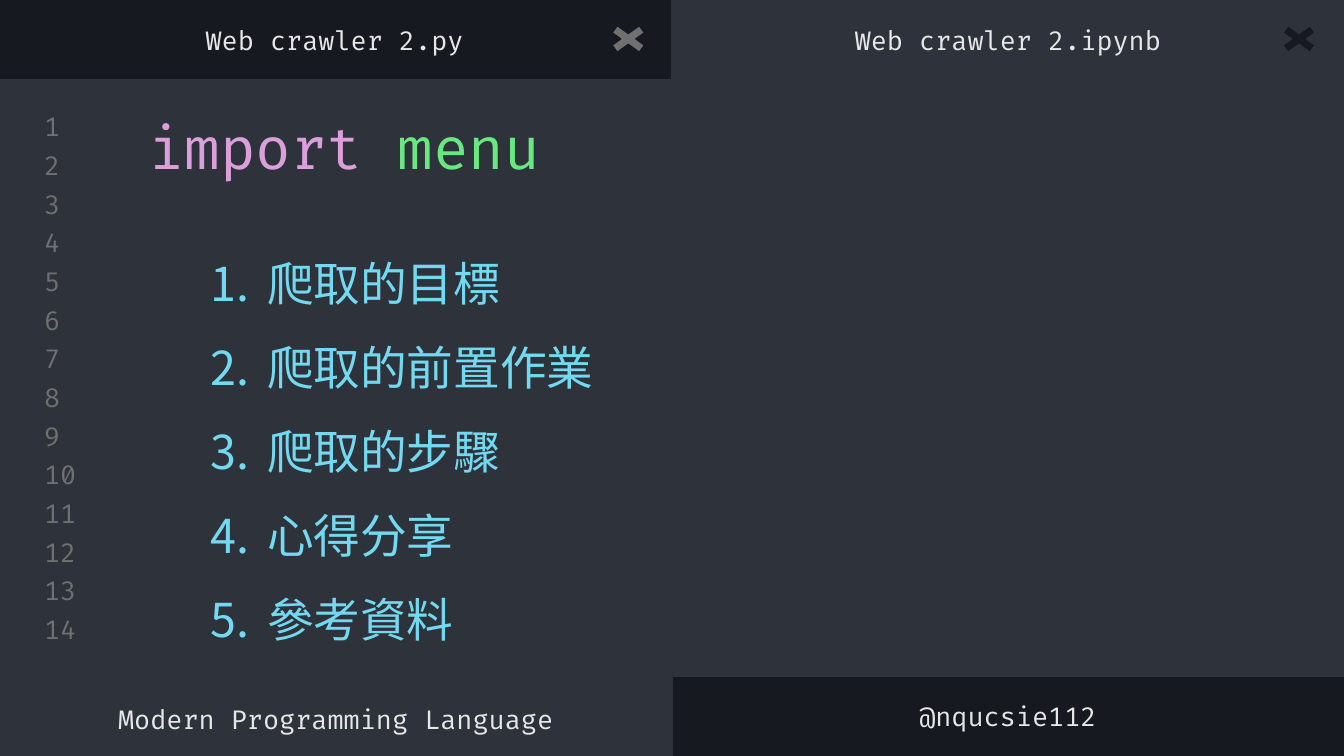
from lxml.etree import SubElement
from pptx import Presentation
from pptx.dml.color import RGBColor
from pptx.enum.shapes import MSO_SHAPE
from pptx.enum.text import MSO_ANCHOR, PP_ALIGN
from pptx.oxml.ns import qn
from pptx.util import Inches, Pt

DARK = RGBColor(0x16, 0x19, 0x1F)
SLATE = RGBColor(0x2E, 0x32, 0x3B)
GREY = RGBColor(0x70, 0x70, 0x70)
WHITE = RGBColor(0xE7, 0xE7, 0xE7)
PINK = RGBColor(0xDB, 0xA0, 0xDB)
GREEN = RGBColor(0x69, 0xE7, 0x81)
CYAN = RGBColor(0x72, 0xD9, 0xF0)
FONT = "Fira Code"

PANELS = [(0, 0.59, 10, 4.44), (5, 0, 5, 0.65), (0, 4.98, 5, 0.65)]
TABS = [
    ("Web crawler 2.py", -0.01, 0.1),
    ("Web crawler 2.ipynb", 5, 0.1),
    ("@nqucsie112", 5, 5.13),
]
TOPICS = ["爬取的目標", "爬取的前置作業", "爬取的步驟", "心得分享", "參考資料"]
LINES = 14
FIRST, LAST = 0.82, 4.56


def add_box(slide, kind, area, fill, line):
    shape = slide.shapes.add_shape(kind, *map(Inches, area))
    shape.shadow.inherit = False
    shape.fill.solid()
    shape.fill.fore_color.rgb = fill
    shape.line.color.rgb = line
    shape.line.width = Pt(0.75)


def add_frame(slide, area, anchor=MSO_ANCHOR.TOP):
    frame = slide.shapes.add_textbox(*map(Inches, area)).text_frame
    frame.word_wrap = True
    frame.vertical_anchor = anchor
    frame.margin_left = frame.margin_right = Inches(0.1)
    frame.margin_top = frame.margin_bottom = Inches(0.1)
    return frame


def set_font(font, size, color=None):
    font.name = FONT
    font.size = Pt(size)
    if color is not None:
        font.color.rgb = color


def add_label(slide, text, area, color=WHITE, align=PP_ALIGN.LEFT,
              anchor=MSO_ANCHOR.MIDDLE):
    para = add_frame(slide, area, anchor).paragraphs[0]
    para.text = text
    para.alignment = align
    set_font(para.font, 14, color)


def add_title(slide, area, words):
    para = add_frame(slide, area).paragraphs[0]
    set_font(para.font, 31)
    for text, color in words:
        run = para.add_run()
        run.text = text
        run.font.color.rgb = color


def number(para, color):
    """Give the paragraph a hanging automatic number."""
    props = para._p.get_or_add_pPr()
    props.set("marL", str(Inches(0.81)))
    props.set("indent", str(Inches(-0.42)))
    tint = SubElement(props, qn("a:buClr"))
    SubElement(tint, qn("a:srgbClr"), val=str(color))
    SubElement(props, qn("a:buAutoNum"), type="arabicPeriod")


def add_list(slide, area, items):
    frame = add_frame(slide, area)
    for index, item in enumerate(items):
        para = frame.add_paragraph() if index else frame.paragraphs[0]
        para.text = item
        para.line_spacing = 1.5
        number(para, CYAN)
        set_font(para.font, 25, CYAN)


def main():
    deck = Presentation()
    deck.slide_width = Inches(10)
    deck.slide_height = Inches(10) * 9 // 16
    slide = deck.slides.add_slide(deck.slide_layouts[6])
    slide.background.fill.solid()
    slide.background.fill.fore_color.rgb = DARK

    for area in PANELS:
        add_box(slide, MSO_SHAPE.RECTANGLE, area, SLATE, SLATE)

    pitch = (LAST - FIRST) / (LINES - 1)
    for index in range(LINES):
        area = (0.23, FIRST + index * pitch, 0.47, 0.24)
        add_label(slide, str(index + 1), area, GREY)

    add_title(slide, (1.01, 0.73, 3.18, 0.63),
              [("import ", PINK), ("menu", GREEN)])
    add_label(slide, "Modern Programming Language", (0.78, 5.13, 5.32, 0.39),
              anchor=MSO_ANCHOR.TOP)
    for text, left, top in TABS:
        add_label(slide, text, (left, top, 5, 0.39), align=PP_ALIGN.CENTER)
    for left, fill, line in [(9.47, DARK, SLATE), (4.48, GREY, DARK)]:
        add_box(slide, MSO_SHAPE.MATH_MULTIPLY, (left, 0.15, 0.39, 0.28),
                fill, line)
    add_list(slide, (1.08, 1.59, 8.45, 3.15), TOPICS)

    deck.save("out.pptx")


if __name__ == "__main__":
    main()
